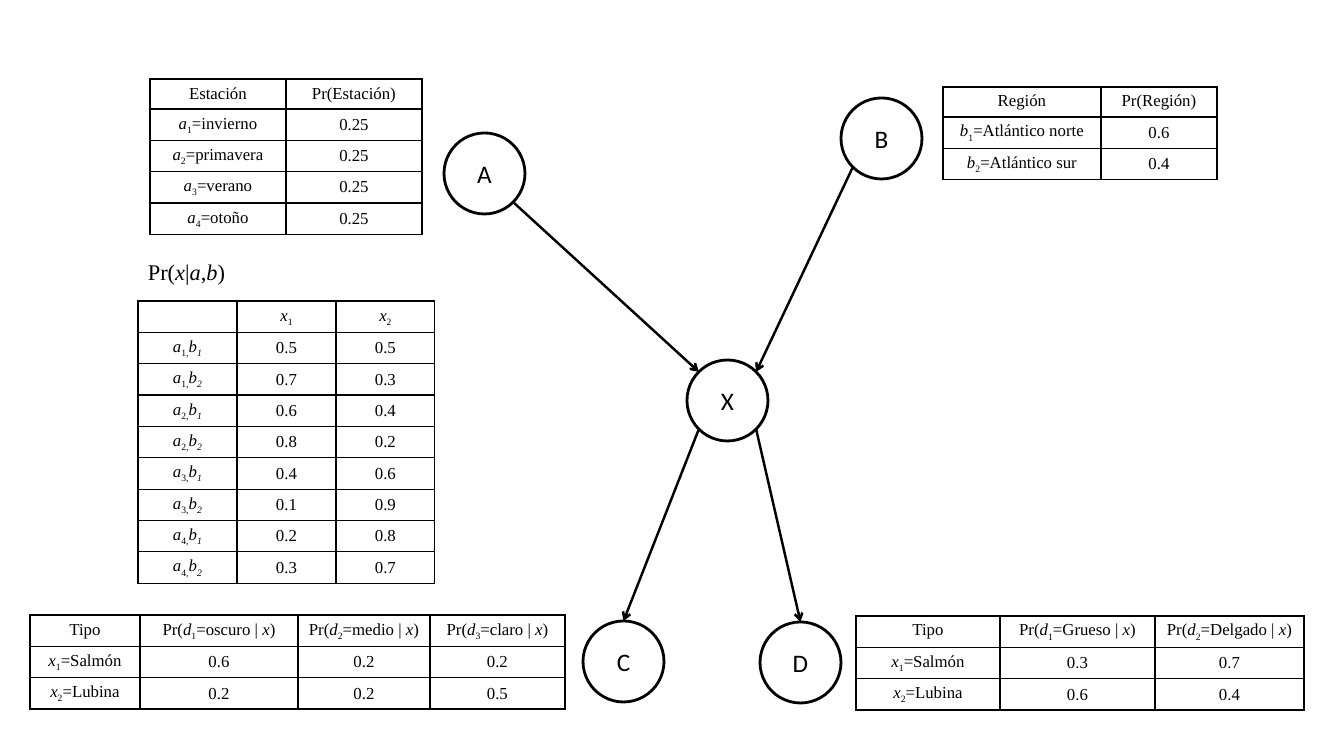
"""Draw a Bayesian network of five nodes with its probability tables."""
import math
from lxml import etree
from pptx import Presentation, util as u
from pptx.dml.color import RGBColor
from pptx.enum import shapes, text
from pptx.oxml.ns import qn

BLACK = RGBColor(0, 0, 0)
SERIF, SANS = "Times New Roman", "Calibri"
SCALE = 914400 / 100.8
SIZE = 81
ROW = 30

NODES = {"A": (444, 133), "B": (841, 98), "C": (583, 621),
         "D": (760, 622), "X": (687, 360)}
LINKS = [("A", 45, "X", 225), ("B", 135, "X", 315),
         ("X", 135, "C", 270), ("X", 45, "D", 270)]

SEASON = [["Estación", "Pr(Estación)"]] + [
    [f"*a*_{i}_={name}", "0.25"]
    for i, name in enumerate(["invierno", "primavera", "verano", "otoño"], 1)]
REGION = [["Región", "Pr(Región)"],
          ["*b*_1_=Atlántico norte", "0.6"],
          ["*b*_2_=Atlántico sur", "0.4"]]
WIDTH = [["Tipo", "Pr(*d*_1_=Grueso | *x*)", "Pr(*d*_2_=Delgado | *x*)"],
         ["*x*_1_=Salmón", "0.3", "0.7"],
         ["*x*_2_=Lubina", "0.6", "0.4"]]
TONE = [["Tipo", "Pr(*d*_1_=oscuro | *x*)", "Pr(*d*_2_=medio | *x*)",
         "Pr(*d*_3_=claro | *x*)"],
        ["*x*_1_=Salmón", "0.6", "0.2", "0.2"],
        ["*x*_2_=Lubina", "0.2", "0.2", "0.5"]]
ODDS = [("0.5", "0.5"), ("0.7", "0.3"), ("0.6", "0.4"), ("0.8", "0.2"),
        ("0.4", "0.6"), ("0.1", "0.9"), ("0.2", "0.8"), ("0.3", "0.7")]
FISH = [["", "*x*_1_", "*x*_2_"]] + [
    [f"*a*_{i // 2 + 1},_*b_{i % 2 + 1}_*", *pair]
    for i, pair in enumerate(ODDS)]

TABLES = [(150, 79, [136, 136], SEASON),
          (943, 87, [158, 116], REGION),
          (856, 616, [144, 155, 149], WIDTH),
          (30, 615, [110, 158, 132, 135], TONE),
          (138, 301, [99, 99, 99], FISH)]


def px(*vals):
    """Turn pixel lengths into EMU."""
    return [u.Emu(round(val * SCALE)) for val in vals]


def write(para, mark, size, face):
    """Add runs, with * around italics and _ around subscripts."""
    for i, part in enumerate(mark.split("*")):
        for j, piece in enumerate(part.split("_")):
            if not piece:
                continue
            run = para.add_run()
            run.text = piece
            font = run.font
            font.size, font.name = u.Pt(size), face
            font.color.rgb = BLACK
            font.italic = i % 2 == 1
            if j % 2:
                run._r.get_or_add_rPr().set("baseline", "-25000")
    if not mark:
        etree.SubElement(para._p, qn("a:endParaRPr"), sz=str(size * 100))


def frame(cell):
    """Give a cell thin black borders and no fill."""
    props = cell._tc.get_or_add_tcPr()
    for side in ("lnL", "lnR", "lnT", "lnB"):
        line = etree.SubElement(props, qn(f"a:{side}"), w="12700")
        fill = etree.SubElement(line, qn("a:solidFill"))
        etree.SubElement(fill, qn("a:srgbClr"), val=str(BLACK))
    cell.fill.background()


def grid(slide, left, top, cols, rows):
    """Add a table of marked text."""
    box = px(left, top, sum(cols), ROW * len(rows))
    table = slide.shapes.add_table(len(rows), len(cols), *box).table
    table.first_row = table.horz_banding = False
    for col, wide in zip(table.columns, cols):
        col.width = px(wide)[0]
    for r, row in enumerate(rows):
        table.rows[r].height = px(ROW)[0]
        for c, mark in enumerate(row):
            cell = table.cell(r, c)
            frame(cell)
            cell.margin_left = cell.margin_right = px(7)[0]
            if r:
                cell.vertical_anchor = text.MSO_ANCHOR.MIDDLE
            para = cell.text_frame.paragraphs[0]
            para.alignment = text.PP_ALIGN.CENTER
            write(para, mark, 12, SERIF)


def node(slide, name):
    """Add a circle with its letter."""
    oval = slide.shapes.add_shape(
        shapes.MSO_SHAPE.OVAL, *px(*NODES[name], SIZE, SIZE))
    oval.shadow.inherit = False
    oval.fill.background()
    oval.line.color.rgb = BLACK
    oval.line.width = u.Pt(2)
    body = oval.text_frame
    body.vertical_anchor = text.MSO_ANCHOR.MIDDLE
    para = body.paragraphs[0]
    para.alignment = text.PP_ALIGN.CENTER
    write(para, name, 18, SANS)


def rim(name, angle):
    """Find the point on a circle at a clockwise angle from the right."""
    turn = math.radians(angle)
    left, top = NODES[name]
    half = SIZE / 2
    return px(left + half + half * math.cos(turn),
              top + half + half * math.sin(turn))


def link(slide, start, out, end, into):
    """Add an arrow from one circle to another."""
    line = slide.shapes.add_connector(
        shapes.MSO_CONNECTOR.STRAIGHT, *rim(start, out), *rim(end, into))
    line.line.color.rgb = BLACK
    line.line.width = u.Pt(1.75)
    etree.SubElement(line.line._get_or_add_ln(), qn("a:tailEnd"), type="arrow")
    etree.SubElement(line._element.spPr, qn("a:effectLst"))


def label(slide, left, top, wide, high, mark):
    """Add a line of marked text."""
    body = slide.shapes.add_textbox(*px(left, top, wide, high)).text_frame
    body.word_wrap = False
    body.auto_size = text.MSO_AUTO_SIZE.SHAPE_TO_FIT_TEXT
    write(body.paragraphs[0], mark, 16, SERIF)


def main():
    """Build and save the slide."""
    deck = Presentation()
    deck.slide_width, deck.slide_height = px(1344, 756)
    slide = deck.slides.add_slide(deck.slide_layouts[6])
    for table in TABLES:
        grid(slide, *table)
    for name in NODES:
        node(slide, name)
    label(slide, 138, 253, 99, 37, "Pr(*x*|*a*,*b*)")
    for pair in LINKS:
        link(slide, *pair)
    deck.save("out.pptx")


if __name__ == "__main__":
    main()
